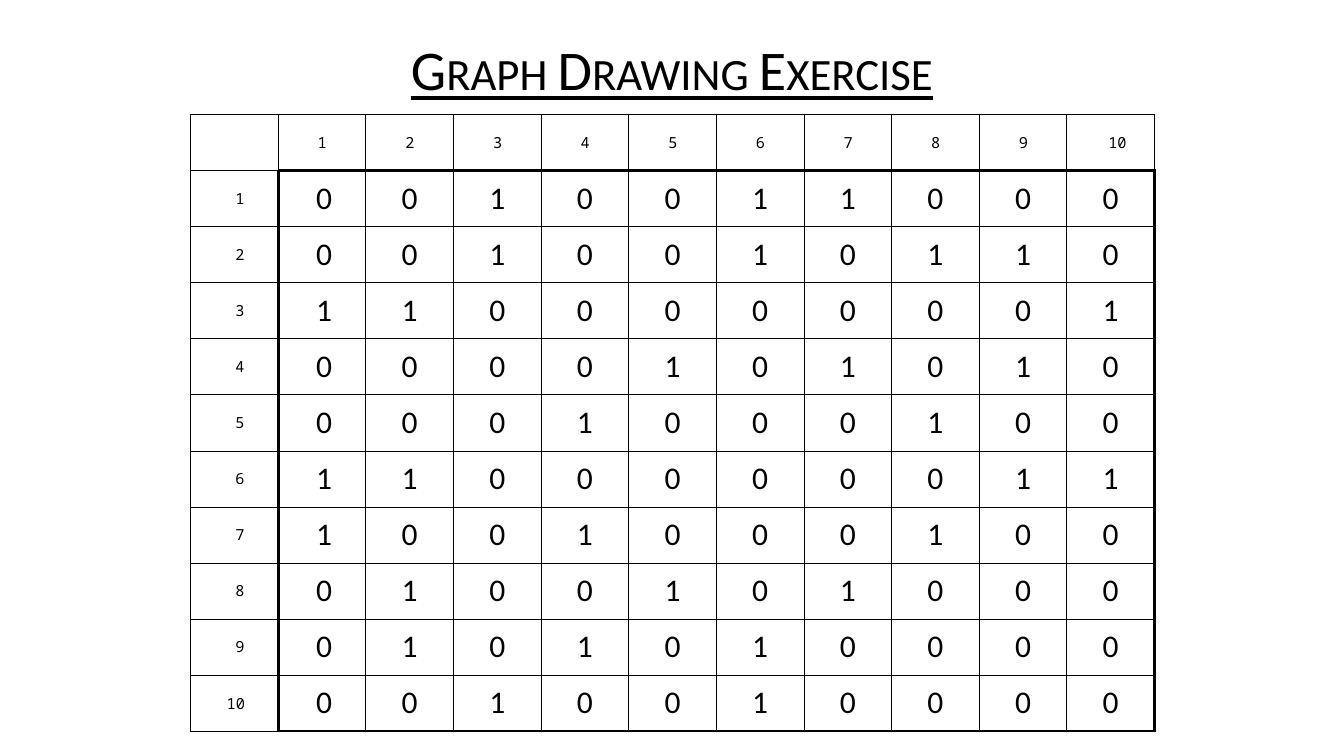
from lxml import etree
from pptx import Presentation
from pptx.dml.color import RGBColor
from pptx.enum import text
from pptx.oxml.ns import qn
from pptx.util import Cm, Pt

BLACK = RGBColor(0x00, 0x00, 0x00)
ADJACENCY = [
    "0010011000",
    "0010010110",
    "1100000001",
    "0000101010",
    "0001000100",
    "1100000011",
    "1001000100",
    "0100101000",
    "0101010000",
    "0010010000",
]


def write(tf, content, size, font="Calibri", indent=0, spacing=None, underline=None):
    p = tf.paragraphs[0]
    p.alignment = text.PP_ALIGN.CENTER
    p.line_spacing = spacing
    p._p.get_or_add_pPr().set("marL", str(Cm(indent)))
    r = p.add_run()
    r.text = content
    r.font.name = font
    r.font.size = Pt(size)
    r.font.underline = underline
    r.font.color.rgb = BLACK
    return r


def add_border(cell, side, width):
    ln = etree.SubElement(cell._tc.get_or_add_tcPr(), qn("a:ln" + side), w=str(Pt(width)))
    fill = etree.SubElement(ln, qn("a:solidFill"))
    etree.SubElement(fill, qn("a:srgbClr"), val=str(BLACK))


prs = Presentation()
prs.slide_width, prs.slide_height = Cm(48.16), Cm(27.1)
s = prs.slides.add_slide(prs.slide_layouts[6])

# Adjacency matrix with numbered header row and column
n = len(ADJACENCY)
labels = [str(i) for i in range(1, n + 1)]
grid = [[""] + labels] + [[label, *bits] for label, bits in zip(labels, ADJACENCY)]
col_w, row_h = Cm(3.14), Cm(2.01)
sp = s.shapes.add_table(n + 1, n + 1, Cm(6.83), Cm(4.11), col_w * (n + 1), row_h * (n + 1))
table = sp.table
table.first_row = table.horz_banding = False
for col in table.columns:
    col.width = col_w
for row in table.rows:
    row.height = row_h

for i, values in enumerate(grid):
    for j, value in enumerate(values):
        cell = table.cell(i, j)
        cell.vertical_anchor = text.MSO_ANCHOR.MIDDLE
        cell.margin_left = cell.margin_right = cell.margin_top = cell.margin_bottom = 0

        # Thick frame around the body of the matrix
        thick = {
            "L": i > 0 and j == 1,
            "R": i > 0 and j in (0, n),
            "T": i == 1 and j > 0,
            "B": j > 0 and i in (0, n),
        }
        for side, is_thick in thick.items():
            add_border(cell, side, 3 if is_thick else 1)
        cell.fill.background()

        if i and j:
            write(cell.text_frame, value, 32, indent=0.15 if j == 1 else 0)
        elif value:
            two_digits = len(value) == 2
            if i == 0:
                indent = 0.48 if two_digits else 0.02
            else:
                indent = 0.1 if two_digits else 0.4
            write(cell.text_frame, value, 15.5, font="Noto Sans Mono", indent=indent)

# Title
sp = s.shapes.add_textbox(Cm(6.3), Cm(1.07), Cm(35.56), Cm(3.07))
tf = sp.text_frame
tf.word_wrap = True
tf.vertical_anchor = text.MSO_ANCHOR.MIDDLE
r = write(tf, "Graph Drawing Exercise", 56.9, spacing=0.9, underline=True)
r.font._element.set("cap", "small")

prs.save("out.pptx")
